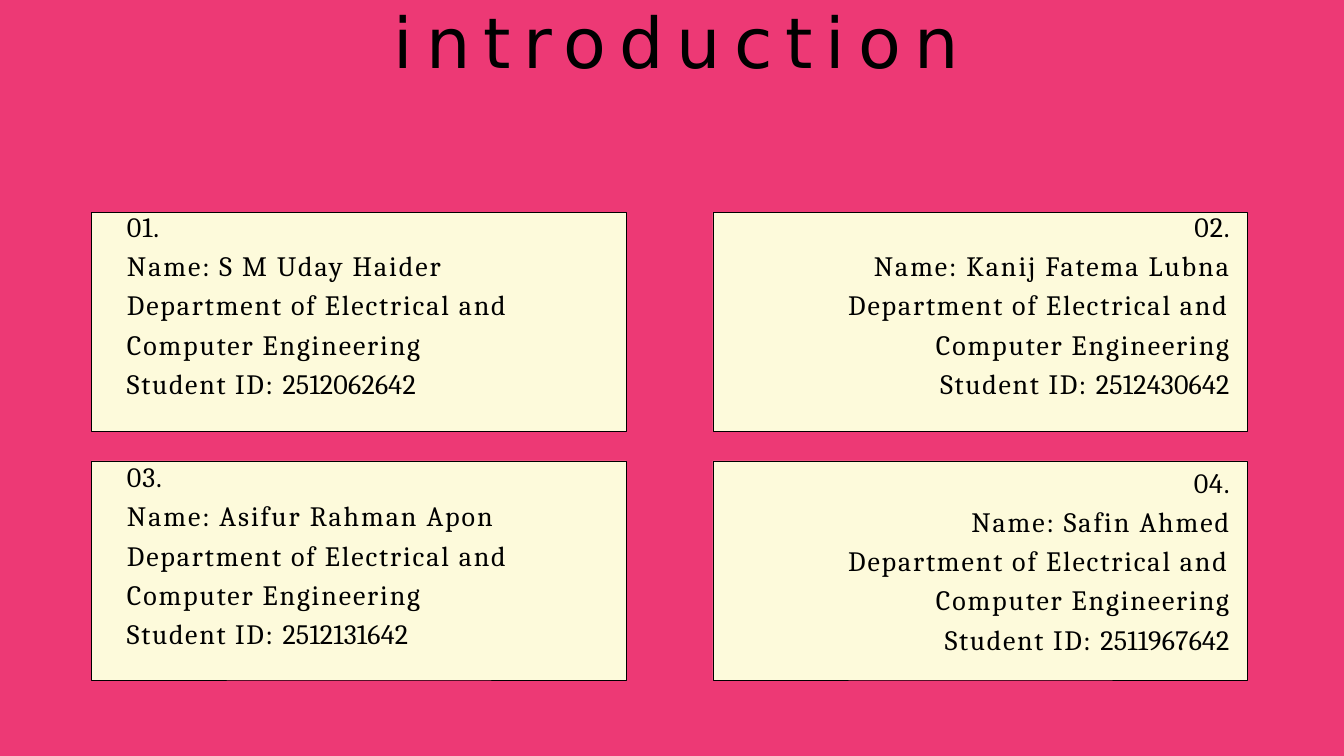
from pptx import Presentation
from pptx.dml.color import RGBColor
from pptx.enum.shapes import MSO_SHAPE
from pptx.enum.text import MSO_ANCHOR, PP_ALIGN
from pptx.util import Inches, Pt

PINK = RGBColor(0xED, 0x39, 0x75)
CREAM = RGBColor(0xFD, 0xFA, 0xDB)
BLACK = RGBColor(0, 0, 0)

DEPARTMENT = "Department of Electrical and Computer Engineering"
CARD_WIDTH, CARD_HEIGHT = 7.96, 3.26
COLUMNS = (1.36, 10.61)
ROWS = (3.16, 6.86)

# Number, name, student ID, height of the first line in points, top inset
STUDENTS = [
    ("01.", "S M Uday Haider", "2512062642", 32.9, 0),
    ("02.", "Kanij Fatema Lubna", "2512430642", 32.9, 0),
    ("03.", "Asifur Rahman Apon", "2512131642", 34.6, 0),
    ("04.", "Safin Ahmed", "2511967642", 34.6, 0.08),
]


def add_block(slide, left, top, width, height, color):
    shape = slide.shapes.add_shape(
        MSO_SHAPE.RECTANGLE, Inches(left), Inches(top), Inches(width), Inches(height))
    shape.shadow.inherit = False
    shape.fill.solid()
    shape.fill.fore_color.rgb = color
    shape.line.fill.background()
    return shape


def set_insets(text_frame, top):
    text_frame.margin_left = text_frame.margin_right = text_frame.margin_bottom = 0
    text_frame.margin_top = Inches(top)
    text_frame.vertical_anchor = MSO_ANCHOR.TOP
    text_frame.word_wrap = True


def format_run(run, font_name, size, spacing):
    run.font.name = font_name
    run.font.size = Pt(size)
    run.font.color.rgb = BLACK
    # Letter spacing is counted in hundredths of a point
    run.font._element.set("spc", str(round(spacing * 100)))


def set_title(slide, text):
    title = slide.shapes.title
    title.left, title.top = Inches(5.86), Inches(-0.05)
    title.width, title.height = Inches(8.69), Inches(1.28)
    set_insets(title.text_frame, 0.03)
    title.text_frame.text = text
    paragraph = title.text_frame.paragraphs[0]
    paragraph.alignment = PP_ALIGN.LEFT
    format_run(paragraph.runs[0], "DejaVu Sans", 75, 13.9)


def add_card(slide, left, top, student, right_aligned):
    number, name, student_id, first_line, inset = student
    card = add_block(slide, left, top, CARD_WIDTH, CARD_HEIGHT, CREAM)
    card.line.color.rgb = BLACK
    card.line.width = Pt(0.75)

    # Each line is a list of text and letter spacing
    lines = [
        [(number, 1)],
        [(f"Name: {name}", 2.1)],
        [(DEPARTMENT, 2)],
        [("Student ID: ", 1.8), (student_id, 0.3)],
    ]
    text_frame = card.text_frame
    set_insets(text_frame, inset)
    margins = (1.88, 0.27) if right_aligned else (0.53, 1.6)
    for index, line in enumerate(lines):
        paragraph = text_frame.add_paragraph() if index else text_frame.paragraphs[0]
        paragraph.alignment = PP_ALIGN.RIGHT if right_aligned else PP_ALIGN.LEFT
        paragraph.line_spacing = 1.17 if index else Pt(first_line)
        properties = paragraph._p.get_or_add_pPr()
        for side, margin in zip(("marL", "marR"), margins):
            properties.set(side, str(Inches(margin)))
        for text, spacing in line:
            run = paragraph.add_run()
            run.text = text
            format_run(run, "Cambria", 30, spacing)


def main():
    presentation = Presentation()
    presentation.slide_width = Inches(20)
    presentation.slide_height = Inches(11.25)
    slide = presentation.slides.add_slide(presentation.slide_layouts[5])

    # Backdrop, sent behind the title
    backdrop = add_block(slide, 0, 0, 20, 11.25, PINK)
    slide.shapes.title._element.addprevious(backdrop._element)

    set_title(slide, "introduction")

    # Cards in two columns, the right one aligned right
    for index, student in enumerate(STUDENTS):
        row, column = divmod(index, 2)
        add_card(slide, COLUMNS[column], ROWS[row], student, column == 1)

    presentation.save("out.pptx")


if __name__ == "__main__":
    main()
